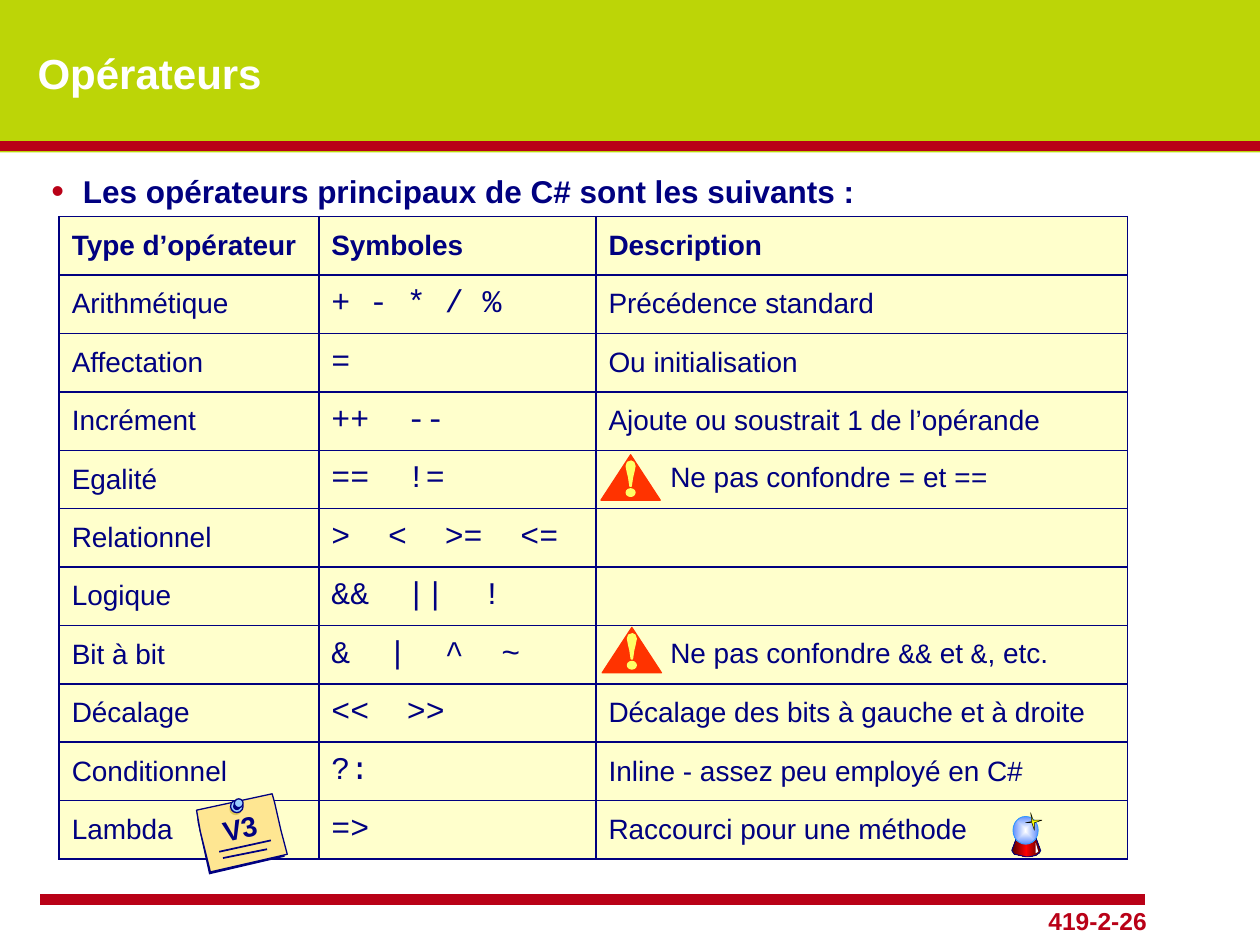
from pptx import Presentation, util as u
from pptx.dml.color import RGBColor
from pptx.enum import shapes, text
from pptx.oxml import parse_xml
from pptx.oxml.ns import qn
from lxml import etree

I = u.Inches
NS = 'xmlns:a="http://schemas.openxmlformats.org/drawingml/2006/main"'
NAVY, RED, LIME, CREAM, WHITE = "000080", "B90117", "BCD507", "FFFFCC", "FFFFFF"
ALERT, MARK, PAPER, SKY, PIN_SHADE = "FF3300", "FFFF66", "FEE692", "99CCFF", "DDC854"
SANS, MONO = "Arial", "Courier New"
OVAL = shapes.MSO_SHAPE.OVAL

# Content: a list as description holds (text, font) runs beside a warning sign
HEADERS = ("Type d’opérateur", "Symboles", "Description")
OPERATORS = [
    ("Arithmétique", "+ - * / %", "Précédence standard"),
    ("Affectation", "=", "Ou initialisation"),
    ("Incrément", "++  --", "Ajoute ou soustrait 1 de l’opérande"),
    ("Egalité", "==  !=", [("Ne pas confondre ", SANS), ("=", MONO), (" et ", SANS), ("==", MONO)]),
    ("Relationnel", ">  <  >=  <=", ""),
    ("Logique", "&&  ||  !", ""),
    ("Bit à bit", "&  |  ^  ~", [("Ne pas confondre ", SANS), ("&&", MONO), (" et ", SANS),
                                 ("&", MONO), (", etc.", SANS)]),
    ("Décalage", "<<  >>", "Décalage des bits à gauche et à droite"),
    ("Conditionnel", "?:", "Inline - assez peu employé en C#"),
    ("Lambda", "=>", "Raccourci pour une méthode"),
]
COLUMNS = (2.06, 2.2, 4.22)
TABLE_LEFT, TABLE_TOP, TABLE_HEIGHT = 0.47, 1.72, 5.1
WARNINGS = [(4.77, 3.61), (4.78, 4.98)]

# Outlines; the exclamation bar is relative to its sign
BAR = [(0.24, 0.25), (0.23, 0.25), (0.22, 0.18), (0.21, 0.14), (0.2, 0.09), (0.21, 0.06),
       (0.24, 0.05), (0.26, 0.06), (0.27, 0.09), (0.26, 0.14), (0.25, 0.18)]
BASE = [(8.1, 6.57), (8.03, 6.75), (8.05, 6.78), (8.1, 6.79), (8.14, 6.8), (8.17, 6.8),
        (8.22, 6.79), (8.25, 6.77), (8.26, 6.75), (8.18, 6.54)]
STAR = [(8.2, 6.51), (8.18, 6.45), (8.19, 6.52), (8.14, 6.53), (8.19, 6.53), (8.21, 6.59),
        (8.21, 6.53), (8.27, 6.51)]
GLINT = [(8.22, 6.69), (8.24, 6.76), (8.22, 6.77)]
NOTE_SHADOW = [(2.16, 6.3), (2.16, 6.41), (2.26, 6.8), (1.66, 6.94), (1.57, 6.53), (1.56, 6.44)]
NOTE = [(2.16, 6.3), (2.18, 6.37), (2.23, 6.59), (2.28, 6.78), (1.67, 6.92), (1.59, 6.6), (1.56, 6.43)]
PIN = [  # left, top, size, fill, outlined
    (1.82, 6.37, 0.1, PIN_SHADE, False), (1.83, 6.35, 0.1, SKY, True),
    (1.85, 6.37, 0.06, NAVY, False), (1.86, 6.34, 0.07, SKY, True)]


def rgb(value):
    return RGBColor.from_string(value)


def paint(sp, fill, line=None, width=0.75):
    sp.shadow.inherit = False
    sp.fill.solid()
    sp.fill.fore_color.rgb = rgb(fill)
    if line:
        sp.line.color.rgb = rgb(line)
        sp.line.width = u.Pt(width)
    else:
        sp.line.fill.background()
    return sp


def preset(parent, kind, box, *style):
    return paint(parent.add_shape(kind, *map(I, box)), *style)


def outline(parent, points, *style):
    pts = [(I(x), I(y)) for x, y in points]
    builder = parent.build_freeform(*pts[0], scale=1.0)
    builder.add_line_segments(pts[1:], close=True)
    return paint(builder.convert_to_shape(), *style)


def gradient(sp, stops, direction):
    sp.fill.gradient()
    old = sp._element.spPr.find(qn("a:gradFill"))
    gs = "".join(f'<a:gs pos="{p * 1000}"><a:srgbClr val="{c}"/></a:gs>' for p, c in stops)
    new = parse_xml(f"<a:gradFill {NS}><a:gsLst>{gs}</a:gsLst>{direction}</a:gradFill>")
    old.getparent().replace(old, new)


def line(parent, start, end, color, width):
    cn = parent.add_connector(shapes.MSO_CONNECTOR.STRAIGHT, *map(I, start + end))
    cn.line.color.rgb = rgb(color)
    cn.line.width = u.Pt(width)
    etree.SubElement(cn._element.spPr, qn("a:effectLst"))


def add_run(p, words, size, color=NAVY, bold=False, font=SANS):
    r = p.add_run()
    r.text = words
    r.font.size, r.font.name, r.font.bold = u.Pt(size), font, bold
    r.font.color.rgb = rgb(color)
    return r


def label(parent, box, words, size, color, anchor=text.MSO_ANCHOR.TOP, wrap=True):
    sp = parent.add_textbox(*map(I, box))
    tf = sp.text_frame
    tf.word_wrap, tf.vertical_anchor = wrap, anchor
    return sp, add_run(tf.paragraphs[0], words, size, color, True)


def border(cell):
    pr = cell._tc.get_or_add_tcPr()
    for i, side in enumerate(("lnL", "lnR", "lnT", "lnB")):
        pr.insert(i, parse_xml(f'<a:{side} {NS} w="12700"><a:solidFill><a:srgbClr val="{NAVY}"/>'
                               f"</a:solidFill></a:{side}>"))


prs = Presentation()
prs.slide_width, prs.slide_height = I(10), I(7.5)
s = prs.slides.add_slide(prs.slide_layouts[6])
s.background.fill.solid()
s.background.fill.fore_color.rgb = rgb(LIME)

# Frame: white page, page number, red rules
preset(s.shapes, shapes.MSO_SHAPE.RECTANGLE, (0, 1.21, 10, 6.29), WHITE)
number, _ = label(s.shapes, (7.62, 7.14, 1.58, 0.33), "419-2-26", 14, RED)
number.text_frame.paragraphs[0].alignment = text.PP_ALIGN.RIGHT
line(s.shapes, (0.32, 7.14), (9.09, 7.14), RED, 6)
line(s.shapes, (0, 1.16), (10, 1.16), RED, 6)

# Title with a text shadow
_, r = label(s.shapes, (0.2, 0.18, 8.52, 0.79), "Opérateurs", 24, WHITE, text.MSO_ANCHOR.MIDDLE)
r.font._element.find(qn("a:solidFill")).addnext(parse_xml(
    f'<a:effectLst {NS}><a:outerShdw dist="38100" dir="2700000"><a:srgbClr val="000000"/>'
    "</a:outerShdw></a:effectLst>"))

# Bulleted introduction
intro, _ = label(s.shapes, (0.31, 1.32, 9.4, 0.4), "Les opérateurs principaux de C# sont les suivants :", 18, NAVY)
pPr = intro.text_frame.paragraphs[0]._p.get_or_add_pPr()
pPr.set("marL", str(I(0.25)))
pPr.set("indent", str(-I(0.25)))
for xml in (f'<a:buClr {NS}><a:srgbClr val="{RED}"/></a:buClr>', f'<a:buSzPct {NS} val="115000"/>',
            f'<a:buFont {NS} typeface="{SANS}"/>', f'<a:buChar {NS} char="•"/>'):
    pPr.append(parse_xml(xml))

# Operator table
rows = [HEADERS] + OPERATORS
table = s.shapes.add_table(len(rows), len(COLUMNS), I(TABLE_LEFT), I(TABLE_TOP),
                           I(sum(COLUMNS)), I(TABLE_HEIGHT)).table
table.first_row = table.horz_banding = False
for col, width in zip(table.columns, COLUMNS):
    col.width = I(width)
for i, row in enumerate(rows):
    table.rows[i].height = I(TABLE_HEIGHT / len(rows))
    for j, content in enumerate(row):
        cell = table.cell(i, j)
        cell.vertical_anchor = text.MSO_ANCHOR.MIDDLE
        cell.fill.solid()
        cell.fill.fore_color.rgb = rgb(CREAM)
        border(cell)
        p = cell.text_frame.paragraphs[0]
        if isinstance(content, list):
            p._p.get_or_add_pPr().set("marL", str(I(0.49)))
            for words, font in content:
                add_run(p, words, 16, font=font)
        elif content:
            code = i > 0 and j == 1
            add_run(p, content, 18 if code else 16, bold=i == 0, font=MONO if code else SANS)

# Warning signs
for x, y in WARNINGS:
    sign = s.shapes.add_group_shape().shapes
    preset(sign, shapes.MSO_SHAPE.ISOSCELES_TRIANGLE, (x, y, 0.47, 0.36), ALERT, ALERT)
    outline(sign, [(x + dx, y + dy) for dx, dy in BAR], MARK, MARK)
    preset(sign, OVAL, (x + 0.2, y + 0.27, 0.07, 0.06), MARK, MARK)

# Crystal ball
ball = s.shapes.add_group_shape().shapes
gradient(outline(ball, BASE, RED, NAVY, 0.5), [(0, "4C0000"), (50, "FF0000"), (100, "4C0000")],
         '<a:lin ang="0" scaled="1"/>')
gradient(preset(ball, OVAL, (8.04, 6.48, 0.2, 0.22), SKY, "3399FF", 0.5), [(0, WHITE), (100, "618FFD")],
         '<a:path path="shape"><a:fillToRect l="50000" t="50000" r="50000" b="50000"/></a:path>')
outline(ball, STAR, "FAFD00", "000000", 0.25)
outline(ball, GLINT, WHITE)

# Pinned version note
note = s.shapes.add_group_shape().shapes
outline(note, NOTE_SHADOW, NAVY)
outline(note, NOTE, PAPER, NAVY)
for x, y, size, fill, outlined in PIN:
    preset(note, OVAL, (x, y, size, size), fill, NAVY if outlined else None)
version, _ = label(note, (1.67, 6.39, 0.47, 0.37), "V3", 16, NAVY, wrap=False)
version.rotation = 347.5
line(note, (1.74, 6.76), (2.15, 6.67), NAVY, 1)
line(note, (1.77, 6.81), (2.12, 6.74), NAVY, 1)

prs.save("out.pptx")
